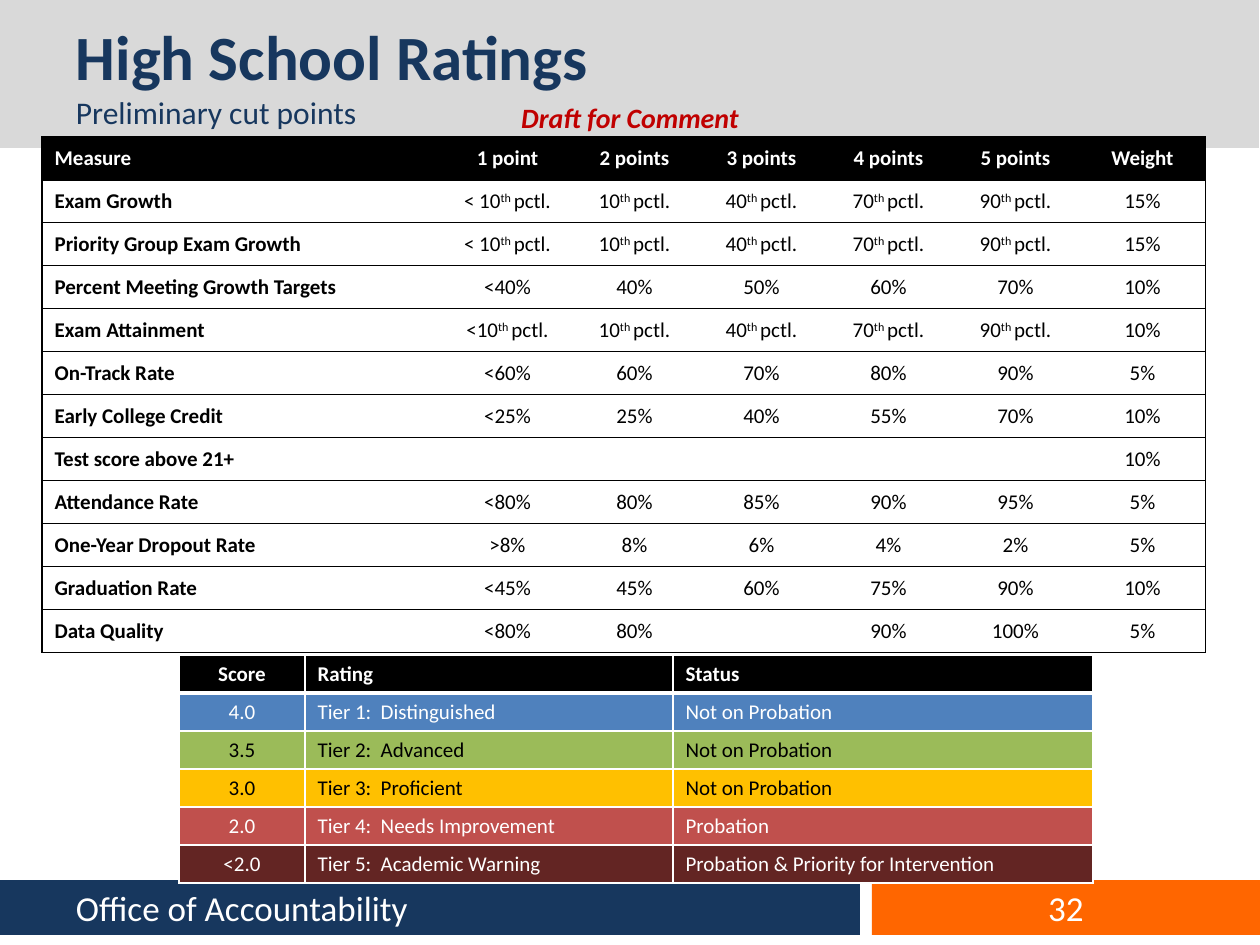
from lxml import etree
from pptx import Presentation
from pptx import util as u
from pptx.dml.color import RGBColor
from pptx.enum import shapes, text
from pptx.oxml.ns import qn

BLACK = RGBColor(0x00, 0x00, 0x00)
WHITE = RGBColor(0xFF, 0xFF, 0xFF)
GRAY = RGBColor(0xD9, 0xD9, 0xD9)
NAVY = RGBColor(0x17, 0x37, 0x5E)
ORANGE = RGBColor(0xFF, 0x66, 0x00)
CRIMSON = RGBColor(0xC0, 0x00, 0x00)
BLUE = RGBColor(0x4F, 0x81, 0xBD)
GREEN = RGBColor(0x9B, 0xBB, 0x59)
GOLD = RGBColor(0xFF, 0xC0, 0x00)
RED = RGBColor(0xC0, 0x50, 0x4D)
MAROON = RGBColor(0x63, 0x25, 0x23)

LEFT, CENTER = text.PP_ALIGN.LEFT, text.PP_ALIGN.CENTER
MIDDLE, TOP = text.MSO_ANCHOR.MIDDLE, text.MSO_ANCHOR.TOP
FONT = "Calibri"
INDENT = 76

PERCENTILES = ["10^th ^pctl.", "40^th ^pctl.", "70^th ^pctl.", "90^th ^pctl."]
MEASURES = [
    ["Measure", "1 point", "2 points", "3 points", "4 points", "5 points", "Weight"],
    ["Exam Growth", "< 10^th ^pctl.", *PERCENTILES, "15%"],
    ["Priority Group Exam Growth", "< 10^th ^pctl.", *PERCENTILES, "15%"],
    ["Percent Meeting Growth Targets", "<40%", "40%", "50%", "60%", "70%", "10%"],
    ["Exam Attainment", "<10^th ^pctl.", *PERCENTILES, "10%"],
    ["On-Track Rate", "<60%", "60%", "70%", "80%", "90%", "5%"],
    ["Early College Credit", "<25%", "25%", "40%", "55%", "70%", "10%"],
    ["Test score above 21+", "", "", "", "", "", "10%"],
    ["Attendance Rate", "<80%", "80%", "85%", "90%", "95%", "5%"],
    ["One-Year Dropout Rate", ">8%", "8%", "6%", "4%", "2%", "5%"],
    ["Graduation Rate", "<45%", "45%", "60%", "75%", "90%", "10%"],
    ["Data Quality", "<80%", "80%", "", "90%", "100%", "5%"],
]
TIERS = [
    (["Score", "Rating", "Status"], BLACK, WHITE),
    (["4.0", "Tier 1:  Distinguished", "Not on Probation"], BLUE, WHITE),
    (["3.5", "Tier 2:  Advanced", "Not on Probation"], GREEN, BLACK),
    (["3.0", "Tier 3:  Proficient", "Not on Probation"], GOLD, BLACK),
    (["2.0", "Tier 4:  Needs Improvement", "Probation"], RED, WHITE),
    (["<2.0", "Tier 5:  Academic Warning", "Probation & Priority for Intervention"],
     MAROON, WHITE),
]


def px(length):
    return u.Emu(round(length * 914400 / 126))


def write(para, words, size=12, color=BLACK, bold=False, italic=False, align=LEFT):
    para.alignment = align
    if not words:
        etree.SubElement(para._p, qn("a:endParaRPr"), sz=str(size * 100))
        return
    for index, part in enumerate(words.split("^")):
        span = para.add_run()
        span.text = part
        font = span.font
        font.name, font.size, font.bold, font.italic = FONT, u.Pt(size), bold, italic
        font.color.rgb = color
        if index % 2:
            font._element.set("baseline", "30000")


class RatingsSlide:
    def __init__(self, deck):
        self.slide = deck.slides.add_slide(deck.slide_layouts[6])

    def bar(self, left, top, width, height, fill):
        bar = self.slide.shapes.add_shape(
            shapes.MSO_SHAPE.RECTANGLE, px(left), px(top), px(width), px(height))
        bar.shadow.inherit = False
        bar.fill.solid()
        bar.fill.fore_color.rgb = fill
        bar.line.fill.background()

    def textbox(self, left, top, width, height, anchor=MIDDLE, indent=None):
        box = self.slide.shapes.add_textbox(px(left), px(top), px(width), px(height))
        frame = box.text_frame
        frame.word_wrap = True
        frame.vertical_anchor = anchor
        if indent:
            frame.margin_left = px(indent)
        return frame.paragraphs[0]

    def table(self, left, top, columns, row_height, rows):
        frame = self.slide.shapes.add_table(
            rows, len(columns), px(left), px(top), px(sum(columns)), px(row_height * rows))
        table = frame.table
        table.first_row = table.horz_banding = False
        for column, width in zip(table.columns, columns):
            column.width = px(width)
        for row in table.rows:
            row.height = px(row_height)
        return table

    def cell(self, cell, words, fill, borders, anchor=TOP, **style):
        properties = cell._tc.get_or_add_tcPr()
        for side in "LRTB":
            color, width = borders.get(side, (None, 0))
            line = etree.SubElement(properties, qn(f"a:ln{side}"), w=str(u.Pt(width)))
            if color is None:
                etree.SubElement(line, qn("a:noFill"))
            else:
                paint = etree.SubElement(line, qn("a:solidFill"))
                etree.SubElement(paint, qn("a:srgbClr"), val=str(color))
        cell.fill.solid()
        cell.fill.fore_color.rgb = fill
        cell.vertical_anchor = anchor
        write(cell.text_frame.paragraphs[0], words, **style)

    def measures(self):
        columns = [402] + [127] * 6
        table = self.table(42, 137, columns, 43, len(MEASURES))
        rule = (BLACK, 0.75)
        for row, record in enumerate(MEASURES):
            for col, words in enumerate(record):
                borders = {"T": rule, "B": rule}
                if col == 0:
                    borders["L"] = rule
                if col == len(columns) - 1:
                    borders["R"] = rule
                header = row == 0
                self.cell(table.cell(row, col), words, BLACK if header else WHITE, borders,
                          MIDDLE, color=WHITE if header else BLACK,
                          bold=header or col == 0, align=CENTER if col else LEFT)

    def tiers(self):
        table = self.table(179, 655, [126, 368, 420], 38, len(TIERS))
        for row, (record, fill, color) in enumerate(TIERS):
            borders = dict.fromkeys("LRTB", (WHITE, 1))
            if row < 2:
                borders["T" if row else "B"] = (WHITE, 3)
            for col, words in enumerate(record):
                self.cell(table.cell(row, col), words, fill, borders, color=color,
                          bold=row == 0, align=LEFT if col else CENTER)


def main():
    deck = Presentation()
    deck.slide_width, deck.slide_height = px(1260), px(945)
    page = RatingsSlide(deck)

    page.bar(0, 0, 1259, 148, GRAY)
    page.bar(0, 880, 860, 55, NAVY)
    page.bar(872, 880, 388, 55, ORANGE)

    title = page.textbox(0, 0, 998, 148, indent=INDENT)
    write(title, "High School Ratings", size=36, color=NAVY, bold=True)
    title.add_line_break()
    write(title, "Preliminary cut points", size=18, color=NAVY)

    page.measures()
    page.tiers()

    write(page.textbox(872, 880, 388, 55), "32", size=20, color=WHITE, align=CENTER)
    write(page.textbox(483, 94, 294, 47, TOP), "Draft for Comment", size=16,
          color=CRIMSON, bold=True, italic=True, align=CENTER)
    write(page.textbox(0, 880, 860, 55, indent=INDENT), "Office of Accountability",
          size=20, color=WHITE)
    deck.save("out.pptx")


if __name__ == "__main__":
    main()
